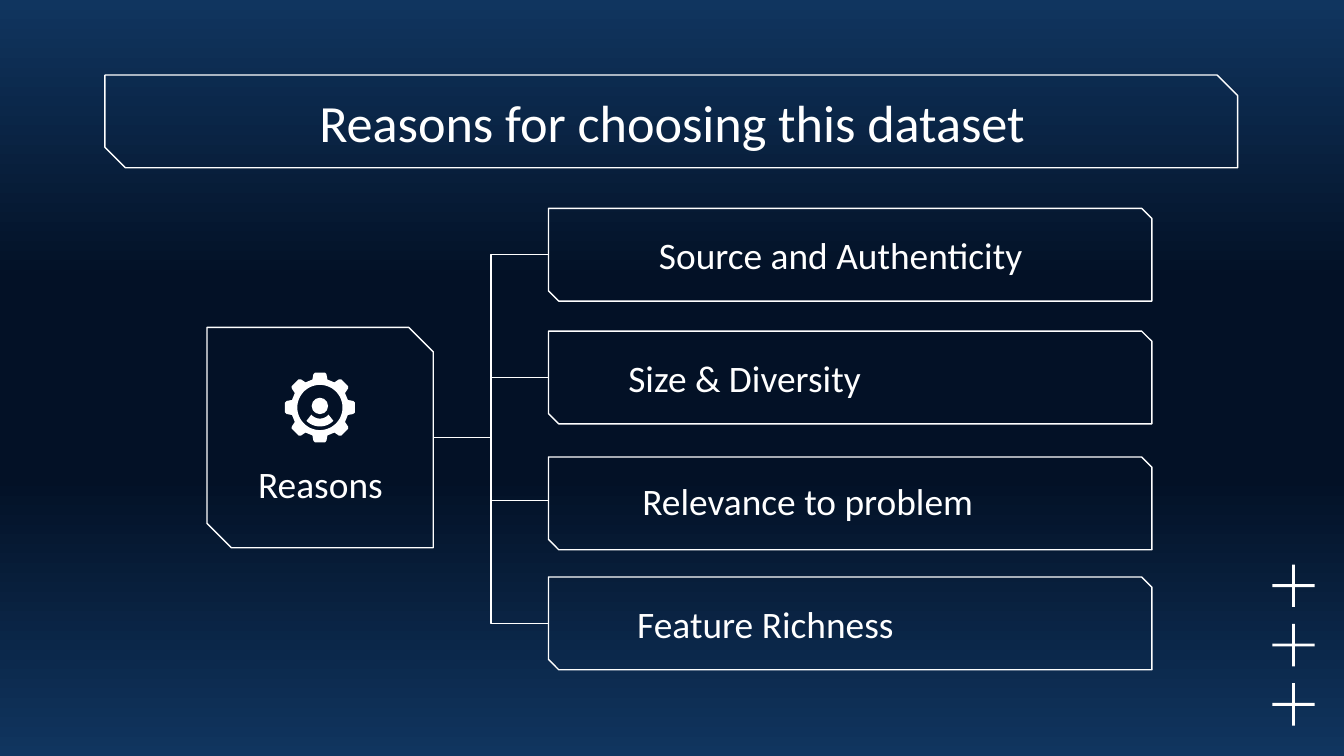
from dataclasses import dataclass
from math import cos, radians, sin

from pptx import Presentation
from pptx.dml.color import RGBColor
from pptx.enum.shapes import MSO_CONNECTOR, MSO_SHAPE
from pptx.enum.text import MSO_ANCHOR, MSO_AUTO_SIZE, PP_ALIGN
from pptx.oxml import parse_xml
from pptx.oxml.ns import nsdecls
from pptx.util import Pt


@dataclass(frozen=True)
class Theme:
    """Colours, font and type sizes of the slide."""
    edge: str = "10355F"
    middle: str = "031126"
    ink: RGBColor = RGBColor(255, 255, 255)
    font: str = "Calibri"
    title: int = 28
    body: int = 20
    line: float = 0.75
    inset: float = 7.2


@dataclass(frozen=True)
class Box:
    """A rectangle in points."""
    left: float
    top: float
    width: float
    height: float

    def lengths(self) -> list:
        """Return the four lengths for python-pptx."""
        return [Pt(v) for v in (self.left, self.top, self.width, self.height)]


@dataclass(frozen=True)
class Reason:
    """One reason: its text, the top of its frame and its label width."""
    text: str
    top: float
    label_width: float


THEME = Theme()
REASONS = [
    Reason("Source and Authenticity", 111.6, 313.2),
    Reason("Size & Diversity", 177.4, 210.2),
    Reason("Relevance to problem", 244.8, 277.9),
    Reason("Feature Richness", 309.1, 232.6),
]
REASON_LEFT, REASON_PITCH = 293.8, 65.8
HUB = Box(110.9, 175.4, 121.2, 118.1)
TITLE = Box(56.2, 40.2, 606.8, 49.7)
GEAR_X, GEAR_Y = 171.4, 218.3


def set_background(s) -> None:
    """Fill the background with a vertical four-stop gradient."""
    stops = [(0, THEME.edge), (37, THEME.middle), (63, THEME.middle), (100, THEME.edge)]
    gs = "".join(f'<a:gs pos="{pos * 1000}"><a:srgbClr val="{color}"/></a:gs>'
                 for pos, color in stops)
    s.element.cSld.insert(0, parse_xml(
        f'<p:bg {nsdecls("p", "a")}><p:bgPr><a:gradFill rotWithShape="1">'
        f'<a:gsLst>{gs}</a:gsLst><a:lin ang="5400000" scaled="0"/></a:gradFill>'
        '<a:effectLst/></p:bgPr></p:bg>'))


def add_frame(s, box: Box, snip: float = 0.111) -> None:
    """Draw an outlined rectangle with two snipped corners."""
    sp = s.shapes.add_shape(MSO_SHAPE.SNIP_2_DIAG_RECTANGLE, *box.lengths())
    sp.adjustments[0], sp.adjustments[1] = 0, snip
    sp.shadow.inherit = False
    sp.fill.background()
    sp.line.color.rgb = THEME.ink
    sp.line.width = Pt(THEME.line)


def write_text(sp, text: str, size: int) -> None:
    """Write one centred paragraph into a shape."""
    tf = sp.text_frame
    tf.word_wrap = True
    tf.auto_size = MSO_AUTO_SIZE.NONE
    tf.vertical_anchor = MSO_ANCHOR.MIDDLE
    tf.margin_left = tf.margin_right = tf.margin_top = tf.margin_bottom = Pt(THEME.inset)
    tf.text = text
    p = tf.paragraphs[0]
    p.alignment = PP_ALIGN.CENTER
    p.font.name = THEME.font
    p.font.size = Pt(size)
    p.font.color.rgb = THEME.ink


def add_label(s, text: str, box: Box) -> None:
    """Add a body-size label."""
    write_text(s.shapes.add_textbox(*box.lengths()), text, THEME.body)


def add_branch(s, y: float) -> None:
    """Join the hub to a reason with an elbow connector."""
    cxn = s.shapes.add_connector(
        MSO_CONNECTOR.ELBOW, Pt(HUB.left + HUB.width),
        Pt(HUB.top + HUB.height / 2), Pt(REASON_LEFT), Pt(y))
    cxn.line.color.rgb = THEME.ink
    cxn.line.width = Pt(THEME.line)
    cxn.element.spPr.append(parse_xml(f'<a:effectLst {nsdecls("a")}/>'))


def fill_solid(sp) -> None:
    """Fill a shape with the ink colour, without line or shadow."""
    sp.shadow.inherit = False
    sp.fill.solid()
    sp.fill.fore_color.rgb = THEME.ink
    sp.line.fill.background()


def polar(angle: float, radius: float) -> tuple:
    """Return a point around the gear centre."""
    a = radians(angle)
    return Pt(GEAR_X + radius * cos(a)), Pt(GEAR_Y + radius * sin(a))


def add_outline(group, *contours: list) -> None:
    """Draw closed contours as one filled freeform."""
    builder = group.shapes.build_freeform(*contours[0][0])
    builder.add_line_segments(contours[0][1:])
    for contour in contours[1:]:
        builder.move_to(*contour[0])
        builder.add_line_segments(contour[1:])
    fill_solid(builder.convert_to_shape())


def add_gear(s) -> None:
    """Draw the gear with a person inside."""
    tooth = [(-15, 15.5), (-11, 18.2), (-8, 18.9), (8, 18.9), (11, 18.2), (15, 15.5)]
    rim = [polar(45 * i + a, r) for i in range(8) for a, r in tooth]
    hole = [polar(a, 12.1) for a in range(360, 0, -6)]
    shoulders = ([polar(a, 10.2) for a in range(45, 136, 5)]
                 + [polar(a, 6) for a in range(140, 39, -5)])
    group = s.shapes.add_group_shape()
    add_outline(group, rim, hole)
    add_outline(group, shoulders)
    head = Box(GEAR_X - 4.4, GEAR_Y - 5.2, 8.8, 8.8)
    fill_solid(group.shapes.add_shape(MSO_SHAPE.OVAL, *head.lengths()))


def add_plus(group, x: float, y: float, size: float = 22.7, bar: float = 1.6) -> None:
    """Draw a thin plus sign centred on a point."""
    for w, h in ((size, bar), (bar, size)):
        box = Box(x - w / 2, y - h / 2, w, h)
        fill_solid(group.shapes.add_shape(MSO_SHAPE.RECTANGLE, *box.lengths()))


def main() -> None:
    """Build and save the slide."""
    prs = Presentation()
    prs.slide_width, prs.slide_height = Pt(720), Pt(405)
    s = prs.slides.add_slide(prs.slide_layouts[5])
    set_background(s)

    add_frame(s, TITLE, 0.221)
    title = s.shapes.title
    title.left, title.top, title.width, title.height = Box(56.6, 42.5, 606.8, 45.4).lengths()
    write_text(title, "Reasons for choosing this dataset", THEME.title)

    add_frame(s, HUB)
    add_label(s, "Reasons", Box(116.6, 240.5, 110.2, 37.4))
    for i, reason in enumerate(REASONS):
        add_frame(s, Box(REASON_LEFT, reason.top, 323.3, 49.7))
        add_branch(s, 136.5 + i * REASON_PITCH)
        add_label(s, reason.text,
                  Box(REASON_LEFT, 114.5 + i * REASON_PITCH, reason.label_width, 43.9))

    add_gear(s)
    pluses = s.shapes.add_group_shape()
    for i in range(3):
        add_plus(pluses, 693, 313.8 + i * 31.8)
    prs.save("out.pptx")


if __name__ == "__main__":
    main()
